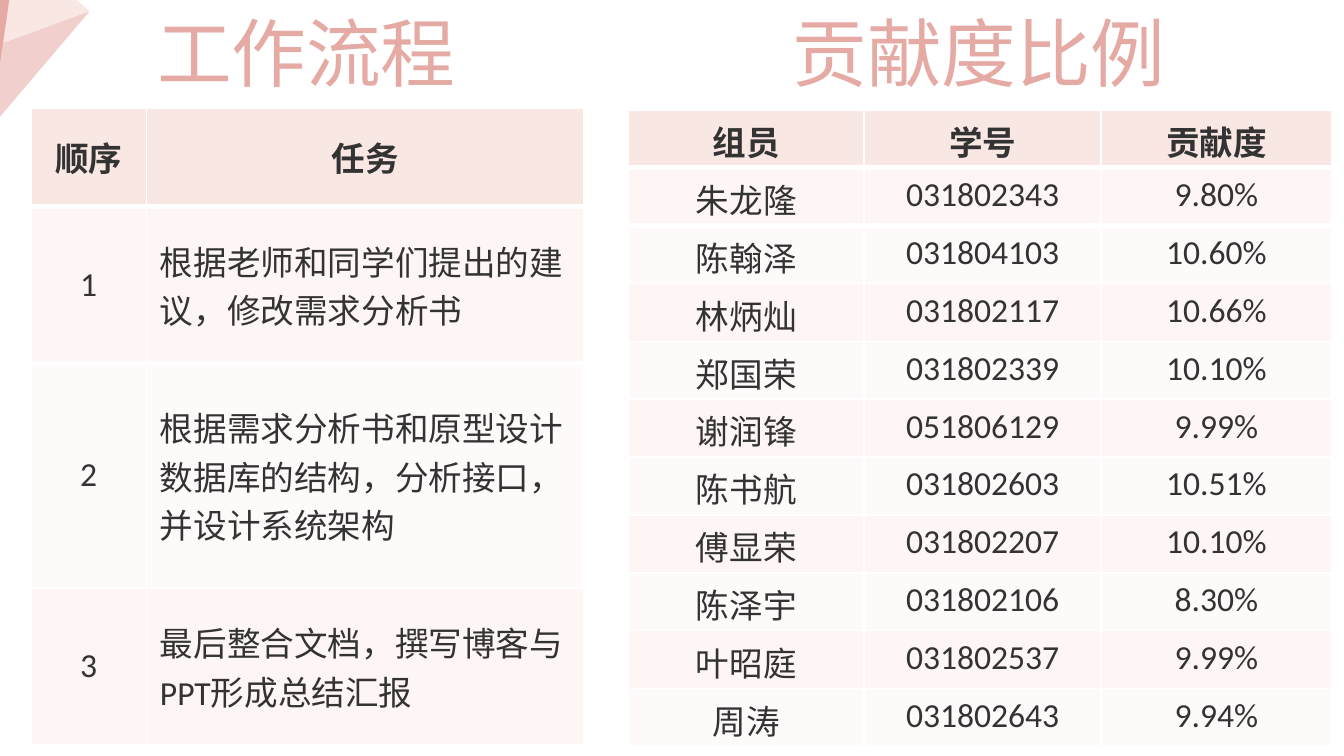
import pptx
import pptx.dml.color
import pptx.enum.text
import pptx.oxml.ns
import pptx.util
import lxml.etree

PX = 6350
SLIDE_SIZE = (1440, 810)
CJK_FONT = "Noto Sans CJK SC"
COLORS = {
    "rose": "E5AAA4",
    "blush": "F1CFCD",
    "header": "F9E7E3",
    "odd_row": "FDF6F4",
    "even_row": "FEFAFA",
    "text": "333333",
    "rule": "FFFFFF",
}
CENTER = pptx.enum.text.PP_ALIGN.CENTER
LEFT = pptx.enum.text.PP_ALIGN.LEFT
TOP = pptx.enum.text.MSO_ANCHOR.TOP
MIDDLE = pptx.enum.text.MSO_ANCHOR.MIDDLE

FACETS = [
    ("blush", [(96, 12), (3, 46), (0, 69), (0, 125)]),
    ("header", [(96, 12), (82, 0), (10, 0), (3, 46)]),
    ("rose", [(10, 0), (0, 0), (0, 69)]),
]
WORKFLOW = [
    ("顺序", "任务"),
    ("1", "根据老师和同学们提出的建议，修改需求分析书"),
    ("2", "根据需求分析书和原型设计数据库的结构，分析接口，并设计系统架构"),
    ("3", "最后整合文档，撰写博客与PPT形成总结汇报"),
]
CONTRIBUTIONS = [
    ("组员", "学号", "贡献度"),
    ("朱龙隆", "031802343", "9.80%"),
    ("陈翰泽", "031804103", "10.60%"),
    ("林炳灿", "031802117", "10.66%"),
    ("郑国荣", "031802339", "10.10%"),
    ("谢润锋", "051806129", "9.99%"),
    ("陈书航", "031802603", "10.51%"),
    ("傅显荣", "031802207", "10.10%"),
    ("陈泽宇", "031802106", "8.30%"),
    ("叶昭庭", "031802537", "9.99%"),
    ("周涛", "031802643", "9.94%"),
]


def rgb(name):
    """Return the named palette colour."""
    return pptx.dml.color.RGBColor.from_string(COLORS[name])


def emu(lengths):
    """Turn px lengths into EMU."""
    return [length * PX for length in lengths]


def format_paragraph(paragraph, size, color, latin_font, align, bold=False):
    """Align a paragraph and style its runs."""
    paragraph.alignment = align
    for run in paragraph.runs:
        run.font.size = pptx.util.Pt(size)
        run.font.bold = bold
        run.font.name = latin_font
        run.font.color.rgb = rgb(color)
        east_asian = lxml.etree.SubElement(
            run.font._element, pptx.oxml.ns.qn("a:ea"))
        east_asian.set("typeface", CJK_FONT)


def draw_corner(slide, left, top):
    """Draw the faceted corner ornament."""
    corner = slide.shapes.add_group_shape()
    for color, points in FACETS:
        (start_x, start_y), *others = [(left + x, top + y) for x, y in points]
        outline = corner.shapes.build_freeform(start_x, start_y, scale=PX)
        outline.add_line_segments(others, close=True)
        facet = outline.convert_to_shape()
        facet.shadow.inherit = False
        facet.fill.solid()
        facet.fill.fore_color.rgb = rgb(color)
        facet.line.fill.background()


def place_heading(heading, wording, box):
    """Place a heading in its box and style it."""
    heading.left, heading.top, heading.width, heading.height = emu(box)
    frame = heading.text_frame
    frame.text = wording
    frame.word_wrap = False
    frame.auto_size = pptx.enum.text.MSO_AUTO_SIZE.SHAPE_TO_FIT_TEXT
    frame.vertical_anchor = TOP
    format_paragraph(frame.paragraphs[0], 40, "rose", CJK_FONT, LEFT)


def add_border(cell, side, points):
    """Rule one side of a cell."""
    properties = cell._tc.get_or_add_tcPr()
    border = lxml.etree.Element(pptx.oxml.ns.qn(f"a:{side}"))
    border.set("w", str(pptx.util.Pt(points)))
    fill = lxml.etree.SubElement(border, pptx.oxml.ns.qn("a:solidFill"))
    color = lxml.etree.SubElement(fill, pptx.oxml.ns.qn("a:srgbClr"))
    color.set("val", COLORS["rule"])
    properties.insert(0, border)


def add_banded_table(slide, records, left, top, widths, heights, aligns, anchor):
    """Add a table with a ruled header row and alternating row fills."""
    box = emu([left, top, sum(widths), sum(heights)])
    table = slide.shapes.add_table(len(heights), len(widths), *box).table
    for column, width in zip(table.columns, emu(widths)):
        column.width = width
    for row, height in zip(table.rows, emu(heights)):
        row.height = height
    for i, record in enumerate(records):
        is_header = i == 0
        fill = "header" if is_header else "odd_row" if i % 2 else "even_row"
        for j, wording in enumerate(record):
            cell = table.cell(i, j)
            cell.fill.solid()
            cell.fill.fore_color.rgb = rgb(fill)
            if i < 2:
                add_border(cell, "lnB" if is_header else "lnT", 3)
            cell.vertical_anchor = anchor
            cell.text_frame.text = wording
            format_paragraph(cell.text_frame.paragraphs[0], 18, "text", "Calibri",
                             CENTER if is_header else aligns[j], is_header)


def build_slide(presentation):
    """Build the workflow and contribution slide."""
    slide = presentation.slides.add_slide(presentation.slide_layouts[5])
    draw_corner(slide, 0, 0)
    add_banded_table(slide, WORKFLOW, 33, 116, [124, 469],
                     [105, 168, 241, 168], [CENTER, LEFT], MIDDLE)
    place_heading(slide.shapes.title, "工作流程", (154, 0, 364, 111))
    contribution_box = (835, 0, 429, 111)
    place_heading(slide.shapes.add_textbox(*emu(contribution_box)),
                  "贡献度比例", contribution_box)
    add_banded_table(slide, CONTRIBUTIONS, 673, 118, [253, 254, 247],
                     [62] * len(CONTRIBUTIONS), [CENTER] * 3, TOP)


def main():
    """Create and save the presentation."""
    presentation = pptx.Presentation()
    presentation.slide_width, presentation.slide_height = emu(SLIDE_SIZE)
    build_slide(presentation)
    presentation.save("out.pptx")


if __name__ == "__main__":
    main()
